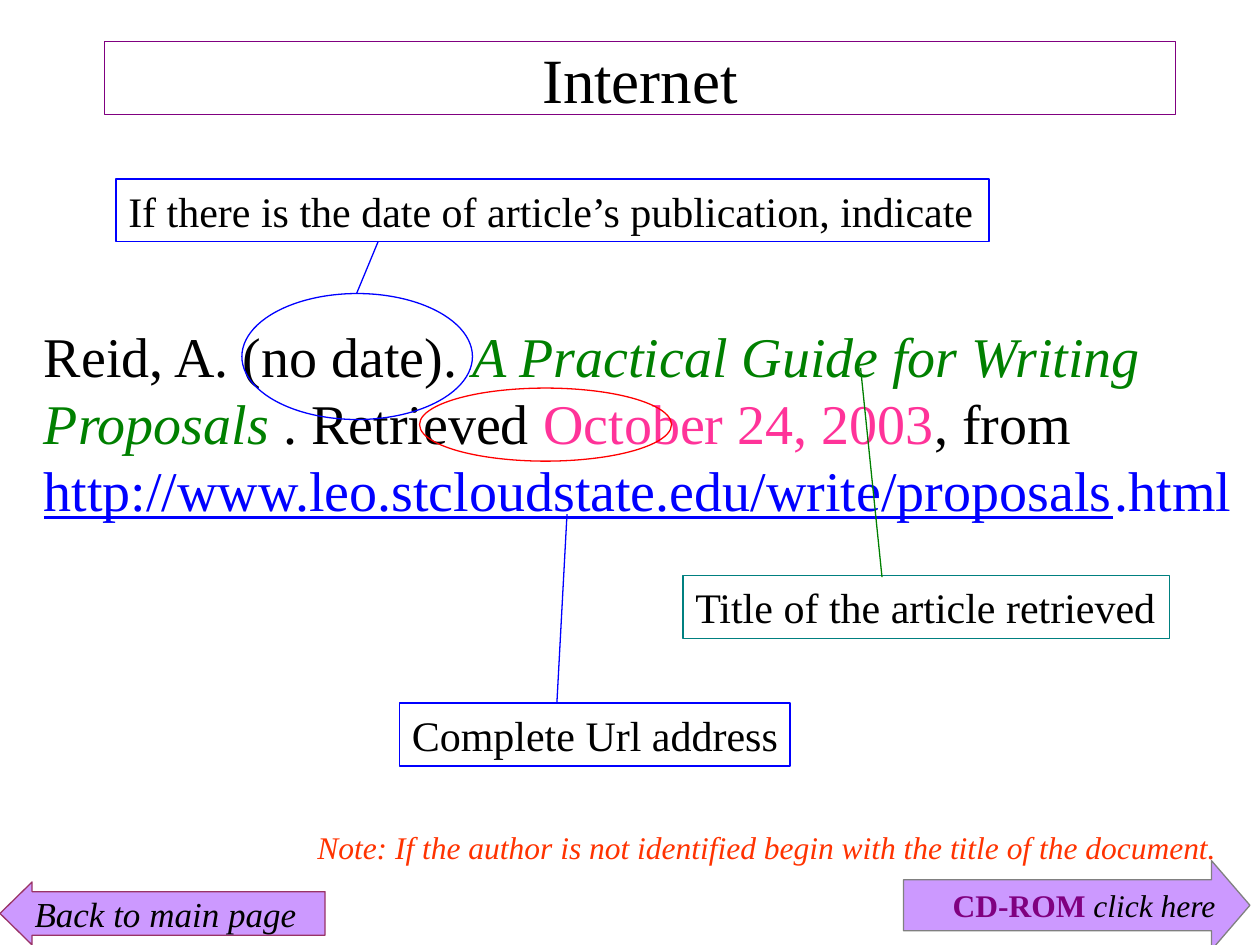
from lxml.etree import SubElement
from pptx import Presentation
from pptx.dml.color import RGBColor
from pptx.enum.shapes import MSO_CONNECTOR, MSO_SHAPE
from pptx.enum.text import MSO_ANCHOR, MSO_AUTO_SIZE, PP_ALIGN
from pptx.oxml.ns import qn
from pptx.util import Inches, Pt

FONT = "Times New Roman"
BLACK, BLUE, GREEN, PURPLE = "000000", "0000FF", "008000", "800080"
LILAC = "CC99FF"

TITLE = "Internet"
CITATION = [
    ("Reid, A. (no date). ", BLACK, ""),
    ("A Practical Guide for Writing \tProposals", GREEN, "i"),
    (" . Retrieved ", BLACK, ""),
    ("October 24, 2003", "FF3399", ""),
    (", from \t", BLACK, ""),
    ("http://www.leo.stcloudstate.edu/write/proposals", BLUE, "u"),
    ("\t", BLACK, ""),
    (".html", BLUE, ""),
]
NOTE = [("Note: If the author is not identified begin with the title of the document.", "FF3300", "i")]
RINGS = [
    ((3.33, 3.08, 2, 0.58), "FF0000"),
    ((1.92, 2.33, 1.83, 1), BLUE),
]
LABELS = [
    ("If there is the date of article’s publication, indicate", (0.92, 1.42, 6.93, 0.5), BLUE),
    ("Complete Url address", (3.17, 5.58, 3.1, 0.5), BLUE),
    ("Title of the article retrieved", (5.42, 4.57, 3.86, 0.5), "008080"),
]
POINTERS = [
    ((3, 1.92), (2.83, 2.33), BLUE),
    ((4.5, 4.08), (4.42, 5.58), BLUE),
    ((6.83, 2.92), (7, 4.58), GREEN),
]
BACK = [("Back to main page", BLACK, "i")]
FORWARD = [("CD-ROM ", PURPLE, "b"), ("click here", BLACK, "i")]


def color(value):
    return RGBColor.from_string(value)


def outline(item, value):
    item.line.color.rgb = color(value)
    item.line.width = Pt(0.75)


def write(box, spans, size, align=PP_ALIGN.LEFT, anchor=MSO_ANCHOR.TOP, wrap=True):
    frame = box.text_frame
    frame.word_wrap = wrap
    frame.auto_size = MSO_AUTO_SIZE.NONE
    frame.vertical_anchor = anchor
    para = frame.paragraphs[0]
    para.alignment = align
    for text, value, style in spans:
        span = para.add_run()
        span.text = text
        span.font.name = FONT
        span.font.size = Pt(size)
        span.font.color.rgb = color(value)
        span.font.bold = "b" in style
        span.font.italic = "i" in style
        span.font.underline = "u" in style


def add_shape(page, kind, place, line, fill=None):
    shape = page.shapes.add_shape(kind, *map(Inches, place))
    shape.shadow.inherit = False
    outline(shape, line)
    if fill:
        shape.fill.solid()
        shape.fill.fore_color.rgb = color(fill)
    else:
        shape.fill.background()
    return shape


def add_arrow(page, kind, place, line, adjustments):
    arrow = add_shape(page, kind, place, line, LILAC)
    for index, value in enumerate(adjustments):
        arrow.adjustments[index] = value
    return arrow


def add_text(page, place, spans, size):
    box = page.shapes.add_textbox(*map(Inches, place))
    write(box, spans, size)


def add_pointer(page, start, end, value):
    pointer = page.shapes.add_connector(MSO_CONNECTOR.STRAIGHT, *map(Inches, start + end))
    outline(pointer, value)
    SubElement(pointer._element.spPr, qn("a:effectLst"))


def main():
    deck = Presentation()
    deck.slide_width, deck.slide_height = Inches(10), Inches(7.5)
    page = deck.slides.add_slide(deck.slide_layouts[5])

    title = page.shapes.title
    title.left, title.top, title.width, title.height = map(Inches, (0.83, 0.33, 8.5, 0.58))
    outline(title, PURPLE)
    write(title, [(TITLE, BLACK, "")], 36, PP_ALIGN.CENTER, MSO_ANCHOR.MIDDLE)

    add_text(page, (0.25, 2.5, 9.75, 2.24), CITATION, 32)
    for place, value in RINGS:
        add_shape(page, MSO_SHAPE.OVAL, place, value)
    for text, place, value in LABELS:
        label = add_shape(page, MSO_SHAPE.RECTANGLE, place, value)
        write(label, [(text, BLACK, "")], 24, wrap=False)
    for start, end, value in POINTERS:
        add_pointer(page, start, end, value)

    back = add_arrow(page, MSO_SHAPE.LEFT_ARROW, (0, 7, 2.58, 0.5), "993366", (0.69, 0.51))
    write(back, BACK, 20, anchor=MSO_ANCHOR.MIDDLE, wrap=False)
    add_text(page, (2.42, 6.52, 7.42, 0.4), NOTE, 18)
    forward = add_arrow(page, MSO_SHAPE.RIGHT_ARROW, (7.17, 6.83, 2.75, 0.71), "808080", (0.57, 0.43))
    write(forward, FORWARD, 18, PP_ALIGN.RIGHT)

    deck.save("out.pptx")


if __name__ == "__main__":
    main()
